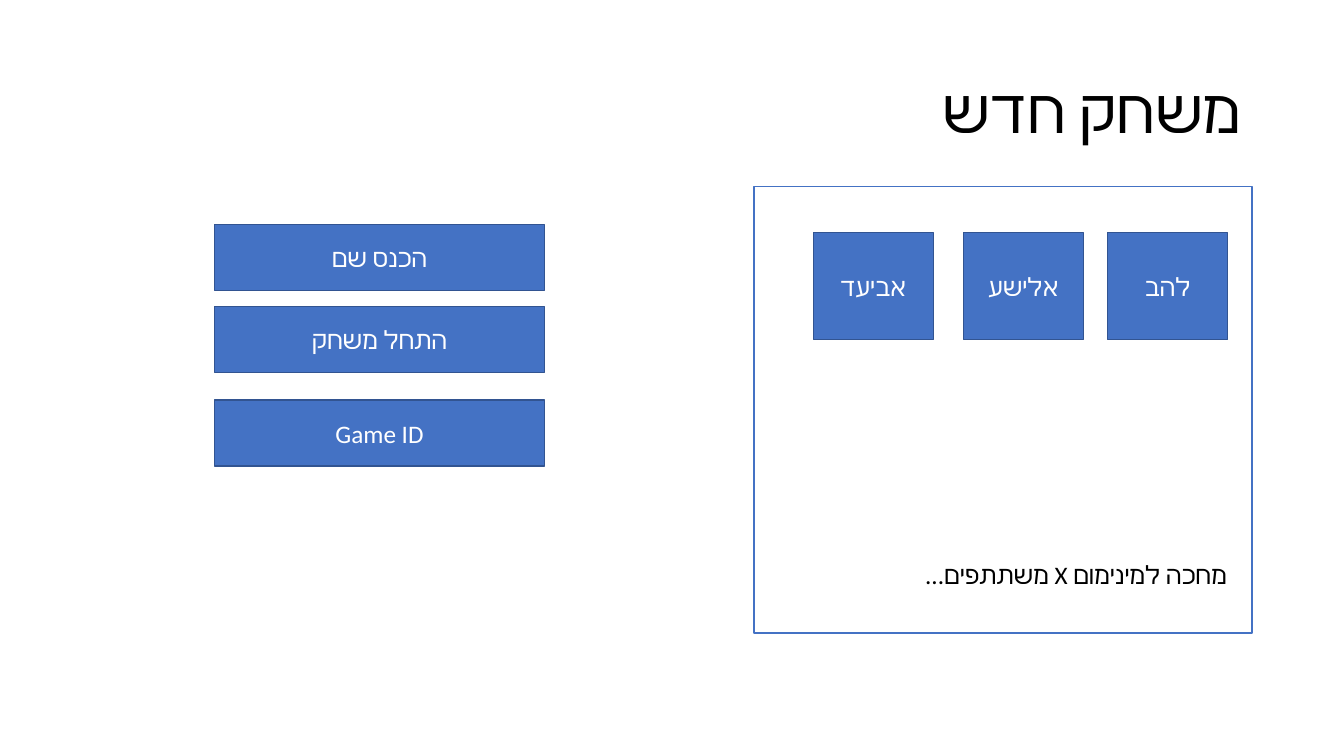
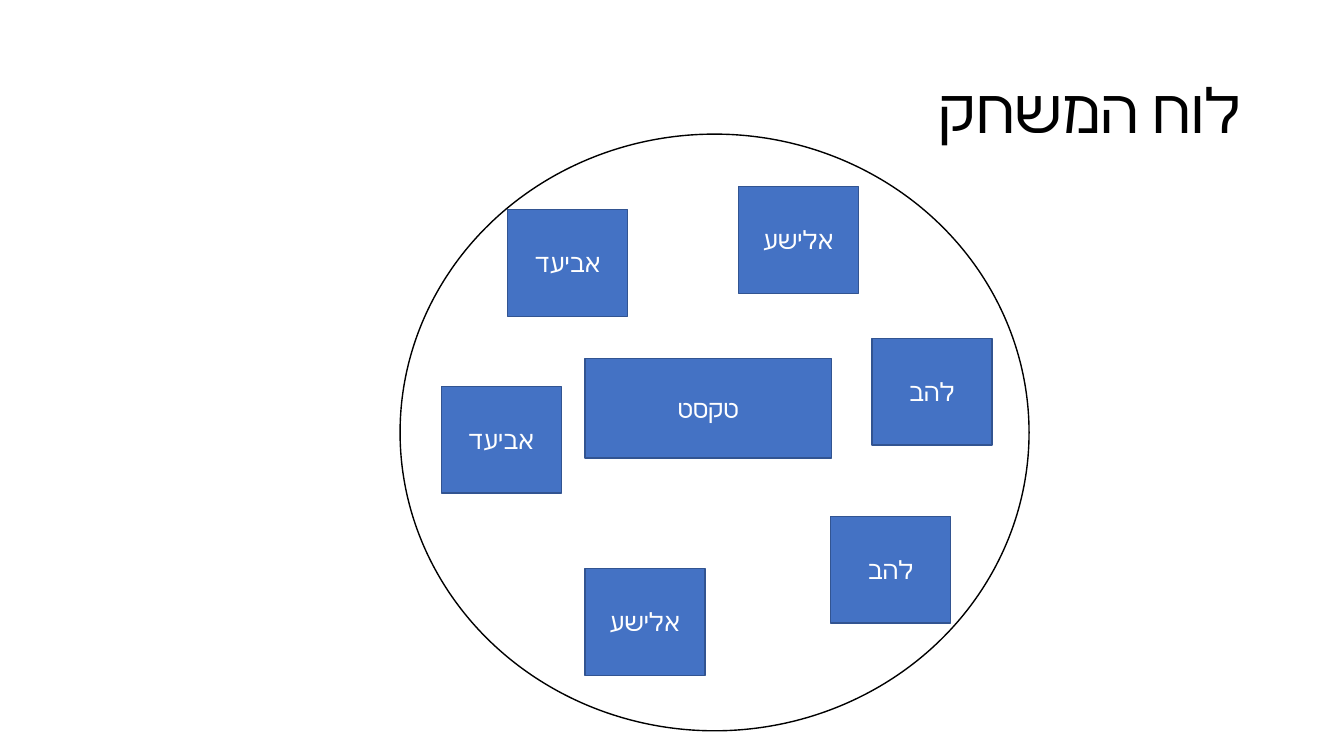
import pptx
import pptx.util
import pptx.dml.color
import pptx.enum.shapes
import pptx.enum.text
import pptx.oxml.ns
import lxml.etree

Pt = pptx.util.Pt
SHAPE = pptx.enum.shapes.MSO_SHAPE
ALIGN = pptx.enum.text.PP_ALIGN
ANCHOR = pptx.enum.text.MSO_ANCHOR
AUTO = pptx.enum.text.MSO_AUTO_SIZE

FONT = "Calibri"
COLORS = {"white": "FFFFFF", "black": "000000", "blue": "4472C4", "edge": "325491"}
CARD_W, CARD_H = 85.7, 76.3


def rgb(name):
    return pptx.dml.color.RGBColor.from_string(COLORS[name])


def write(tf, text, size, color, align):
    """Fill the first paragraph, set right to left."""
    tf.word_wrap = True
    p = tf.paragraphs[0]
    p.alignment = align
    p._p.get_or_add_pPr().set("rtl", "1")
    r = p.add_run()
    r.text = text
    r.font.size = Pt(size)
    r.font.color.rgb = rgb(color)
    r.font.name = FONT
    # Hebrew takes the complex-script font
    cs = lxml.etree.SubElement(r._r.get_or_add_rPr(), pptx.oxml.ns.qn("a:cs"))
    cs.set("typeface", FONT)
    return p


def add_titled_slide(prs, title):
    s = prs.slides.add_slide(prs.slide_layouts[5])
    sp = s.shapes.title
    sp.left, sp.top, sp.width, sp.height = Pt(66), Pt(28.8), Pt(828), Pt(104.4)
    tf = sp.text_frame
    tf.auto_size = AUTO.NONE
    tf.vertical_anchor = ANCHOR.MIDDLE
    write(tf, title, 44, "black", ALIGN.RIGHT).line_spacing = 0.9
    return s


def add_outline(s, kind, x, y, w, h, fill, line):
    sp = s.shapes.add_shape(kind, Pt(x), Pt(y), Pt(w), Pt(h))
    sp.shadow.inherit = False
    sp.fill.solid()
    sp.fill.fore_color.rgb = rgb(fill)
    sp.line.color.rgb = rgb(line)
    sp.line.width = Pt(1)
    return sp


def add_box(s, text, x, y, w=CARD_W, h=CARD_H):
    sp = add_outline(s, SHAPE.RECTANGLE, x, y, w, h, "blue", "edge")
    sp.text_frame.vertical_anchor = ANCHOR.MIDDLE
    write(sp.text_frame, text, 18, "white", ALIGN.CENTER)


def add_note(s, text, x, y, w, h):
    tf = s.shapes.add_textbox(Pt(x), Pt(y), Pt(w), Pt(h)).text_frame
    write(tf, text, 18, "black", ALIGN.RIGHT)
    tf.auto_size = AUTO.SHAPE_TO_FIT_TEXT


def build_new_game(prs):
    s = add_titled_slide(prs, "משחק חדש")
    # Waiting room with players
    add_outline(s, SHAPE.RECTANGLE, 538.6, 133.2, 355.7, 319, "white", "blue")
    for name, x in (("אביעד", 581), ("אלישע", 688.2), ("להב", 791.2)):
        add_box(s, name, x, 166.3)
    add_note(s, "מחכה למינימום X משתתפים...", 591.1, 396, 292.3, 28.8)
    # Start buttons
    for label, y in (("הכנס שם", 160.4), ("התחל משחק", 218.9), ("Game ID", 285.8)):
        add_box(s, label, 153.4, y, 235.4, 47.2)


def build_board(prs):
    s = add_titled_slide(prs, "לוח המשחק")
    # Round table
    add_outline(s, SHAPE.OVAL, 285.8, 95.8, 449.3, 426.2, "white", "black")
    # Players around it
    players = (
        ("אביעד", 362.7, 149.6), ("אלישע", 527.5, 133.2), ("להב", 622.8, 241.7),
        ("אביעד", 315.2, 275.9), ("אלישע", 417.8, 406.1), ("להב", 593.3, 368.8),
    )
    for name, x, y in players:
        add_box(s, name, x, y)
    # Text in the middle
    add_box(s, "טקסט", 417.8, 255.9, 176, 71.3)


def main():
    prs = pptx.Presentation()
    prs.slide_width, prs.slide_height = Pt(960), Pt(540)
    build_new_game(prs)
    build_board(prs)
    prs.save("out.pptx")


main()
